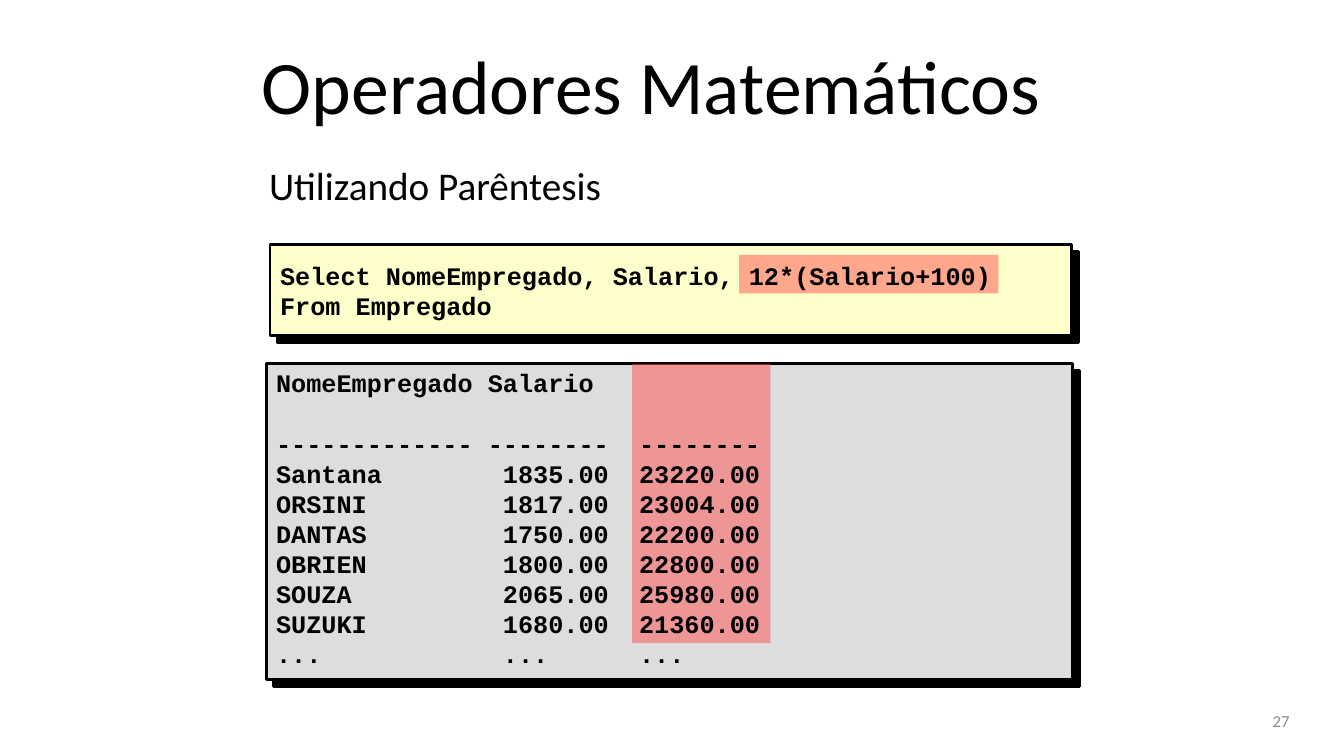
from lxml import etree
from pptx import Presentation
from pptx.dml.color import RGBColor
from pptx.enum.shapes import MSO_SHAPE
from pptx.enum.text import MSO_ANCHOR, PP_ALIGN
from pptx.oxml.ns import qn
from pptx.util import Inches, Pt

RECT = MSO_SHAPE.RECTANGLE
TOP, MIDDLE = MSO_ANCHOR.TOP, MSO_ANCHOR.MIDDLE
LEFT, RIGHT = PP_ALIGN.LEFT, PP_ALIGN.RIGHT

BLACK = RGBColor(0x00, 0x00, 0x00)
GRAY = RGBColor(0x8C, 0x8C, 0x8C)
CREAM = RGBColor(0xFF, 0xFF, 0xCC)
SILVER = RGBColor(0xDD, 0xDD, 0xDD)
RED = RGBColor(0xFF, 0x50, 0x50)

WIDTH, HEIGHT = Inches(13.33), Inches(7.5)
CHAR = Inches(0.15)
CODE = dict(font="Courier New", size=18, bold=True, spacing=21.5)

QUERY = ["Select NomeEmpregado, Salario, 12*(Salario+100)", "From Empregado"]
HEADER = ["NomeEmpregado\tSalario"]
RULE = ["\t".join("-" * n for n in (13, 8, 8))]
ROWS = [
    ("Santana", "1835.00", "23220.00"),
    ("ORSINI", "1817.00", "23004.00"),
    ("DANTAS", "1750.00", "22200.00"),
    ("OBRIEN", "1800.00", "22800.00"),
    ("SOUZA", "2065.00", "25980.00"),
    ("SUZUKI", "1680.00", "21360.00"),
    ("...", "...", "..."),
]


def place(x, y, w, h):
    """Turn percentages of the slide into left, top, width and height."""
    return [int(v * side / 100) for v, side in ((x, WIDTH), (y, HEIGHT), (w, WIDTH), (h, HEIGHT))]


def add_rect(slide, box, color):
    """Add a plain filled rectangle."""
    sp = slide.shapes.add_shape(RECT, *place(*box))
    sp.shadow.inherit = False
    sp.fill.solid()
    sp.fill.fore_color.rgb = color
    sp.line.fill.background()
    return sp


def add_panel(slide, box, color):
    """Add an outlined panel with a hard black shadow."""
    sp = add_rect(slide, box, color)
    sp.line.color.rgb = BLACK
    sp.line.width = Pt(2)
    effects = sp._element.spPr.find(qn("a:effectLst"))
    shadow = etree.SubElement(effects, qn("a:outerShdw"), blurRad="0", dist=str(Pt(7.1)),
                              dir="2700000", algn="ctr", rotWithShape="0")
    etree.SubElement(shadow, qn("a:srgbClr"), val=str(BLACK))


def add_highlight(slide, box):
    """Add a half-transparent red marker."""
    sp = add_rect(slide, box, RED)
    color = sp._element.spPr.find(qn("a:solidFill")).find(qn("a:srgbClr"))
    etree.SubElement(color, qn("a:alpha"), val="50000")


def add_text_box(slide, box, anchor=MIDDLE):
    """Add an empty wrapping text box and return its frame."""
    tf = slide.shapes.add_textbox(*place(*box)).text_frame
    tf.word_wrap = True
    tf.vertical_anchor = anchor
    return tf


def write(tf, lines, font="Calibri", size=18, color=BLACK, bold=False, align=LEFT,
          spacing=None, after=0, tabs=()):
    """Write one paragraph per line, with tab stops counted in characters."""
    for line in lines:
        p = tf.add_paragraph() if tf.text else tf.paragraphs[0]
        p.alignment = align
        p.space_after = Pt(after)
        if spacing:
            p.line_spacing = Pt(spacing)
        if tabs:
            stops = etree.SubElement(p._p.get_or_add_pPr(), qn("a:tabLst"))
            for tab in tabs:
                etree.SubElement(stops, qn("a:tab"), pos=str(tab * CHAR), algn="l")
        r = p.add_run()
        r.text = line
        r.font.name = font
        r.font.size = Pt(size)
        r.font.bold = bold
        r.font.color.rgb = color


def main():
    """Build the slide and save it."""
    prs = Presentation()
    prs.slide_width, prs.slide_height = WIDTH, HEIGHT
    slide = prs.slides.add_slide(prs.slide_layouts[6])

    add_panel(slide, (20.1, 32.4, 59.63, 12), CREAM)
    add_panel(slide, (19.8, 48.13, 60, 41.73), SILVER)
    add_highlight(slide, (55, 33.73, 19.28, 5.07))
    add_highlight(slide, (47.04, 48.13, 10.28, 36.93))

    write(add_text_box(slide, (20.1, 32.27, 59.78, 12.4)), QUERY, **CODE)
    result = add_text_box(slide, (19.8, 48, 60.23, 41.5), anchor=TOP)
    write(result, HEADER, after=CODE["spacing"], tabs=(14, 24), **CODE)
    write(result, RULE, tabs=(14, 24), **CODE)
    write(result, ["\t".join(row) for row in ROWS], tabs=(15, 24), **CODE)

    write(add_text_box(slide, (18.75, 2.8, 66.25, 16.67)), ["Operadores Matemáticos"], size=54)
    write(add_text_box(slide, (19.28, 20.67, 30, 7.6), anchor=TOP), ["Utilizando Parêntesis"], size=28)
    write(add_text_box(slide, (73.37, 92.67, 23.33, 5.33)), ["27"], size=12, color=GRAY, align=RIGHT)

    prs.save("out.pptx")


if __name__ == "__main__":
    main()
